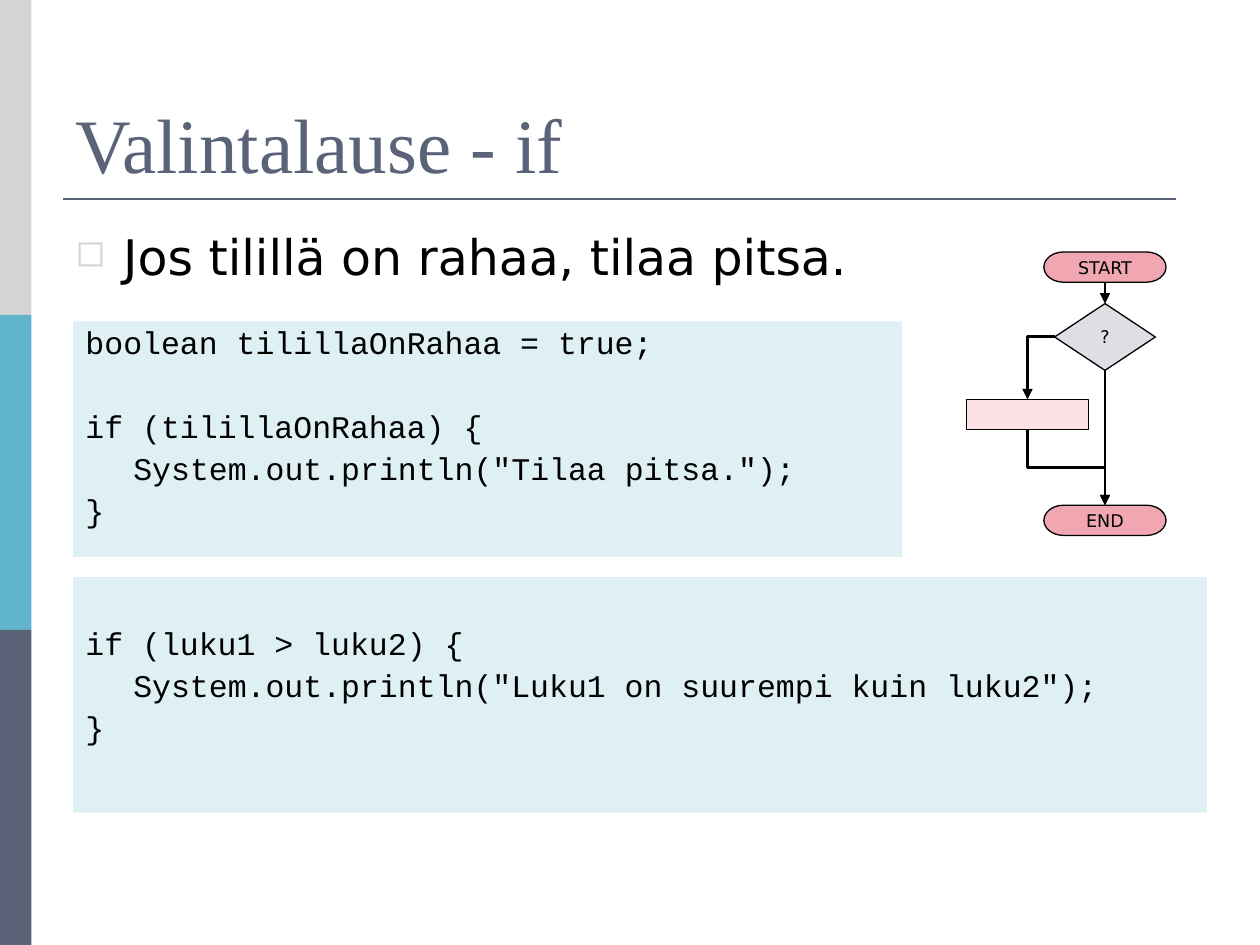
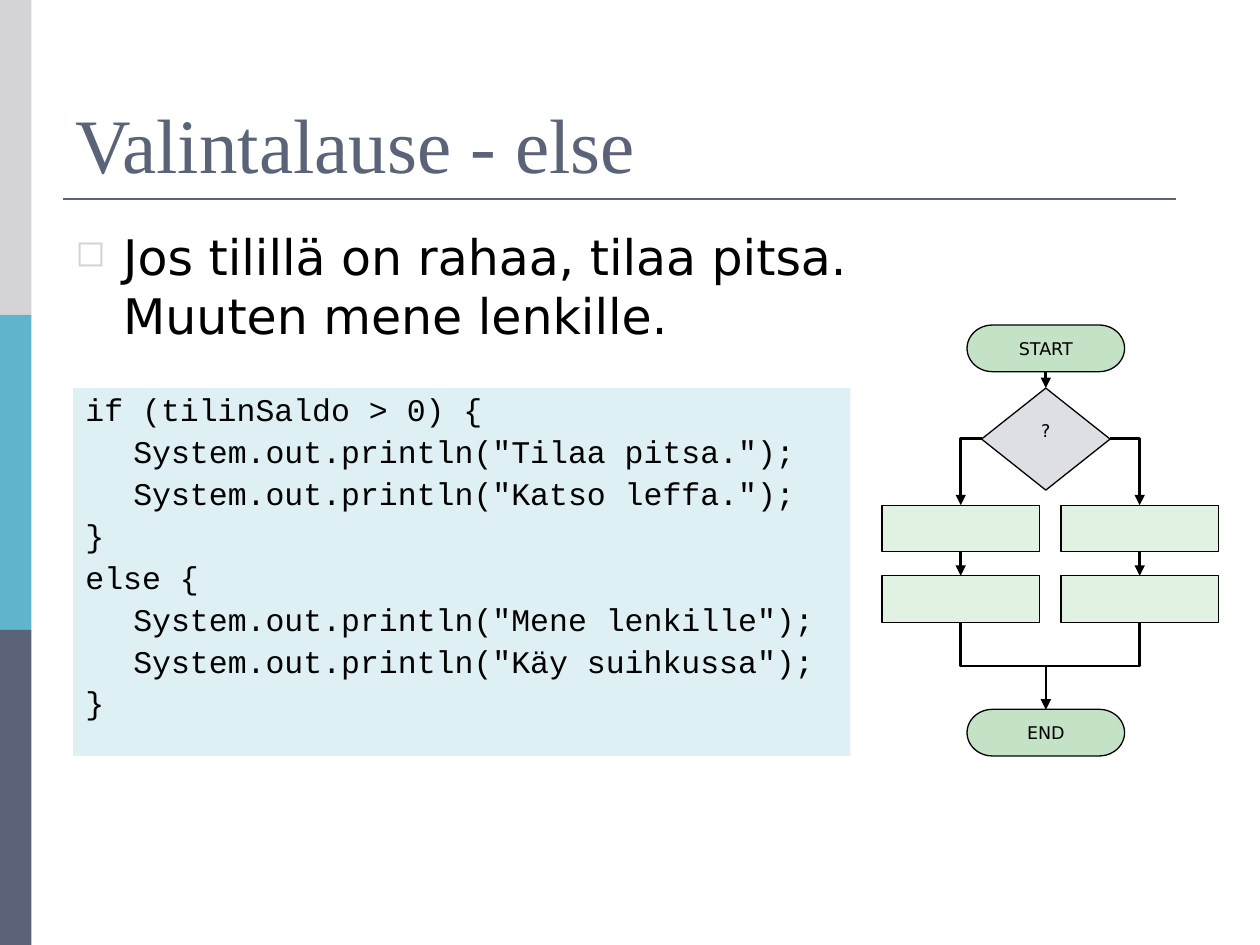
from lxml.etree import SubElement
from pptx import Presentation
from pptx.dml.color import RGBColor
from pptx.enum.shapes import MSO_CONNECTOR, MSO_SHAPE
from pptx.enum.text import MSO_ANCHOR, PP_ALIGN
from pptx.oxml.ns import qn
from pptx.util import Emu, Inches, Pt

SLATE, TEAL, GREY = "5A6378", "60B5CC", "D4D4D6"
CODE_FILL, DECISION_FILL, BLACK = "DFF0F5", "DDDFE5", "000000"
TITLE_FONT, BODY_FONT, CODE_FONT = "Times New Roman", "DejaVu Sans", "Courier New"
HANGING, CODE_GAP, CODE_PITCH = 0.38, 4.5, 24

IF_PIZZA = """boolean tilillaOnRahaa = true;

if (tilillaOnRahaa) {
    System.out.println("Tilaa pitsa.");
}"""
IF_NUMBERS = """if (luku1 > luku2) {
    System.out.println("Luku1 on suurempi kuin luku2");
}"""
IF_ELSE = """if (tilinSaldo > 0) {
    System.out.println("Tilaa pitsa.");
    System.out.println("Katso leffa.");
}
else {
    System.out.println("Mene lenkille");
    System.out.println("Käy suihkussa");
}"""


def color(value):
    """Turn a hex string into a colour."""
    return RGBColor.from_string(value)


def write(paragraph, text, size=10, font=BODY_FONT, ink=BLACK, align=PP_ALIGN.LEFT,
          before=0, spacing=None, margin=0, indent=0):
    """Fill a paragraph with formatted text."""
    paragraph.text = text
    paragraph.alignment = align
    paragraph.space_before = Pt(before)
    if spacing:
        paragraph.line_spacing = spacing
    for run in paragraph.runs:
        run.font.size = Pt(size)
        run.font.name = font
        run.font.color.rgb = color(ink)
    properties = paragraph._p.get_or_add_pPr()
    properties.set("marL", str(Inches(margin)))
    properties.set("indent", str(Inches(indent)))


def add_bullet(paragraph):
    """Give a paragraph the small grey square bullet."""
    properties = paragraph._p.get_or_add_pPr()
    SubElement(SubElement(properties, qn("a:buClr")), qn("a:srgbClr")).set("val", GREY)
    SubElement(properties, qn("a:buSzPct")).set("val", "75000")
    SubElement(properties, qn("a:buChar")).set("char", "◻")


def add_box(shapes, kind, left, top, width, height, fill, outline=None):
    """Add a flat preset shape."""
    shape = shapes.add_shape(kind, Inches(left), Inches(top), Inches(width), Inches(height))
    shape.shadow.inherit = False
    shape.fill.solid()
    shape.fill.fore_color.rgb = color(fill)
    if outline:
        shape.line.color.rgb = color(outline)
        shape.line.width = Pt(0.75)
    else:
        shape.line.fill.background()
    return shape


def add_line(shapes, start, end, ink=BLACK, kind=MSO_CONNECTOR.STRAIGHT, arrow=True):
    """Add a connector from start to end."""
    connector = shapes.add_connector(kind, *map(Inches, start + end))
    connector.line.color.rgb = color(ink)
    connector.line.width = Pt(1.5)
    if arrow:
        SubElement(connector.line._get_or_add_ln(), qn("a:tailEnd")).set("type", "triangle")
    SubElement(connector._element.spPr, qn("a:effectLst"))
    return connector


def add_corner(shapes, start, end):
    """Add an arrow that runs sideways and then down."""
    connector = add_line(shapes, start, end, kind=MSO_CONNECTOR.ELBOW)
    connector._element.spPr.find(qn("a:prstGeom")).set("prst", "bentConnector2")


def add_merge(shapes, start, end):
    """Add an arrow that runs down, sideways and down again."""
    connector = add_line(shapes, start, end, kind=MSO_CONNECTOR.ELBOW)
    across, down = connector.width, connector.height
    connector.left = Emu(connector.left + (across - down) // 2)
    connector.top = Emu(connector.top + (down - across) // 2)
    connector.width, connector.height = down, across
    transform = connector._element.spPr.find(qn("a:xfrm"))
    rightward = end[0] > start[0]
    transform.set("rot", str((270 if rightward else 90) * 60000))
    transform.set("flipH", "1" if rightward else "0")


def add_text_area(slide, left, top, width, height, anchor=MSO_ANCHOR.TOP):
    """Add a wrapping text box and return its first paragraph."""
    frame = slide.shapes.add_textbox(
        Inches(left), Inches(top), Inches(width), Inches(height)).text_frame
    frame.word_wrap = True
    frame.vertical_anchor = anchor
    return frame.paragraphs[0]


def add_base_slide(presentation, title, statement):
    """Add a slide with side bands, title, rule and bulleted statement."""
    slide = presentation.slides.add_slide(presentation.slide_layouts[6])
    for index, fill in enumerate((GREY, TEAL, SLATE)):
        add_box(slide.shapes, MSO_SHAPE.RECTANGLE, 0, index * 2.5, 0.25, 2.5, fill)
    add_line(slide.shapes, (0.5, 1.58), (9.33, 1.58), ink=SLATE, arrow=False)
    write(add_text_area(slide, 0.5, 0.3, 9, 1.25, MSO_ANCHOR.BOTTOM), title,
          size=44, font=TITLE_FONT, ink=SLATE)
    paragraph = add_text_area(slide, 0.5, 1.75, 9, 1.08)
    write(paragraph, statement, size=28, before=7, margin=HANGING, indent=-HANGING)
    add_bullet(paragraph)
    return slide


def add_code(slide, left, top, width, height, code, top_inset=0.05):
    """Add a code panel, with blank lines turned into paragraph spacing."""
    panel = add_box(slide.shapes, MSO_SHAPE.RECTANGLE, left, top, width, height, CODE_FILL)
    frame = panel.text_frame
    frame.word_wrap = True
    frame.vertical_anchor = MSO_ANCHOR.TOP
    frame.margin_top = Inches(top_inset)
    paragraph, before = frame.paragraphs[0], CODE_GAP
    for line in code.splitlines():
        if not line:
            before += CODE_PITCH
            continue
        if paragraph.runs:
            paragraph = frame.add_paragraph()
        write(paragraph, line.strip(), size=18, font=CODE_FONT, before=before, spacing=0.9,
              margin=HANGING, indent=0 if line.startswith(" ") else -HANGING)
        before = CODE_GAP


def add_node(shapes, kind, left, top, width, height, fill, text="", anchor=MSO_ANCHOR.MIDDLE):
    """Add an outlined flowchart node with an optional label."""
    node = add_box(shapes, kind, left, top, width, height, fill, BLACK)
    if text:
        node.text_frame.vertical_anchor = anchor
        write(node.text_frame.paragraphs[0], text, align=PP_ALIGN.CENTER)


def add_if_flow(slide, left, top):
    """Draw the flowchart with one optional step."""
    shapes = slide.shapes.add_group_shape().shapes
    width, height = 0.97, 0.24
    axis, branch = left + 1.1, left + width / 2
    decision, step, end = top + 0.41, top + 1.17, top + 2.01
    for label, y in (("START", top), ("END", end)):
        add_node(shapes, MSO_SHAPE.FLOWCHART_TERMINATOR, axis - width / 2, y, width, height,
                 "F0A7B1", label)
    add_node(shapes, MSO_SHAPE.FLOWCHART_PROCESS, left, step, width, height, "FAE2E5")
    add_node(shapes, MSO_SHAPE.FLOWCHART_DECISION, axis - 0.4, decision, 0.8, 0.53,
             DECISION_FILL, "?")
    add_line(shapes, (axis, top + height), (axis, decision))
    add_line(shapes, (axis, decision + 0.53), (axis, end))
    add_corner(shapes, (axis - 0.4, decision + 0.26), (branch, step))
    add_merge(shapes, (branch, step + height), (axis, end))


def add_else_flow(slide, left, top):
    """Draw the flowchart with two branches of two steps each."""
    shapes = slide.shapes.add_group_shape().shapes
    width, height = 1.25, 0.37
    axis = left + 1.3
    decision, first, second, end = top + 0.5, top + 1.43, top + 1.99, top + 3.05
    for label, y in (("START", top), ("END", end)):
        add_node(shapes, MSO_SHAPE.FLOWCHART_TERMINATOR, axis - width / 2, y, width, height,
                 "C4E2C5", label)
    add_node(shapes, MSO_SHAPE.FLOWCHART_DECISION, axis - 0.51, decision, 1.02, 0.81,
             DECISION_FILL, "?", MSO_ANCHOR.TOP)
    add_line(shapes, (axis, top + height), (axis, decision))
    for column, side in ((left, -0.51), (left + 1.42, 0.51)):
        center = column + width / 2
        for y in (first, second):
            add_node(shapes, MSO_SHAPE.FLOWCHART_PROCESS, column, y, width, height, "E1F1E2")
        add_corner(shapes, (axis + side, decision + 0.4), (center, first))
        add_line(shapes, (center, first + height), (center, second))
        add_merge(shapes, (center, second + height), (axis, end))


def main():
    """Build and save both slides."""
    presentation = Presentation()
    presentation.slide_width, presentation.slide_height = Inches(10), Inches(7.5)

    slide = add_base_slide(presentation, "Valintalause - if",
                           "Jos tilillä on rahaa, tilaa pitsa.")
    add_code(slide, 0.58, 2.55, 6.58, 1.87, IF_PIZZA)
    add_code(slide, 0.58, 4.58, 9, 1.87, IF_NUMBERS, top_inset=0.41)
    add_if_flow(slide, 7.67, 2)

    slide = add_base_slide(presentation, "Valintalause - else",
                           "Jos tilillä on rahaa, tilaa pitsa.\nMuuten mene lenkille.")
    add_code(slide, 0.58, 3.08, 6.17, 2.92, IF_ELSE)
    add_else_flow(slide, 7, 2.58)

    presentation.save("out.pptx")


if __name__ == "__main__":
    main()
